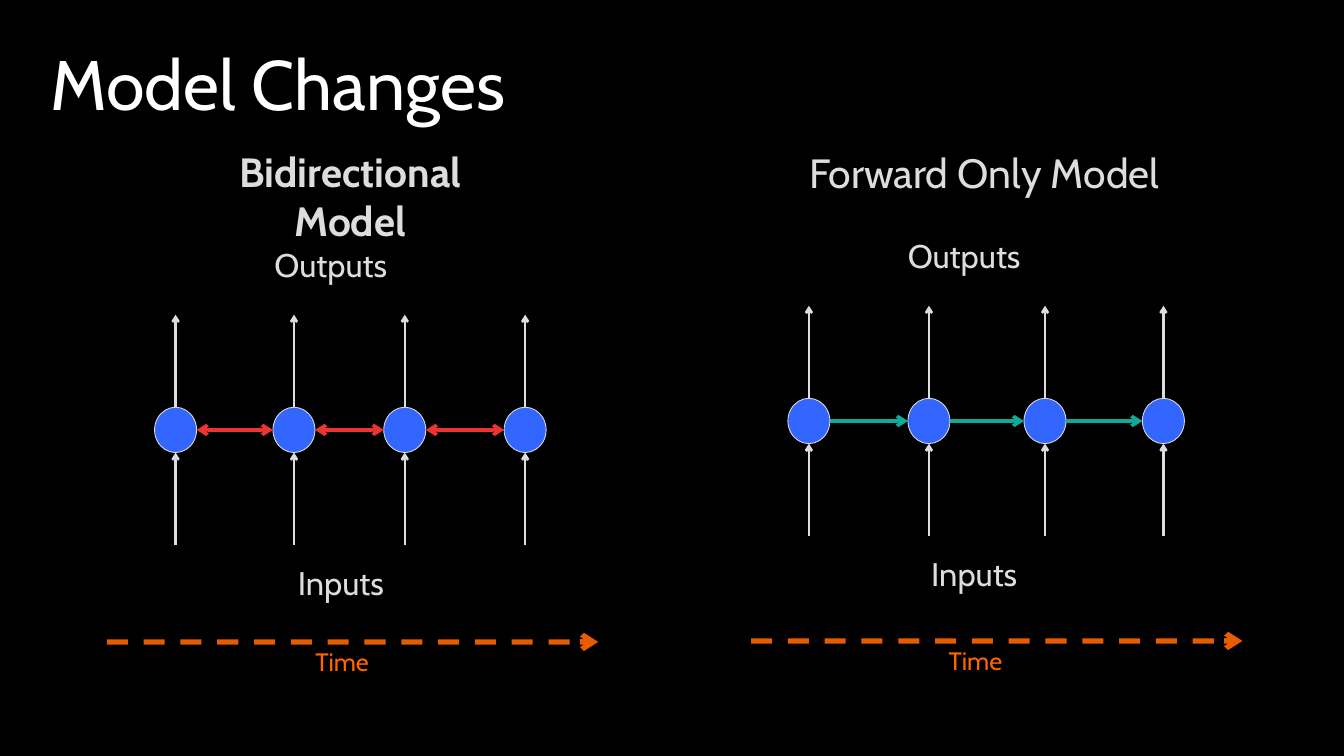
from dataclasses import dataclass
from itertools import pairwise

from lxml.etree import SubElement
from pptx import Presentation
from pptx.dml.color import RGBColor
from pptx.enum.dml import MSO_LINE
from pptx.enum.shapes import MSO_CONNECTOR, MSO_SHAPE
from pptx.enum.text import MSO_ANCHOR, PP_ALIGN as Align
from pptx.oxml.ns import qn
from pptx.slide import Slide
from pptx.util import Cm, Pt

BLACK = RGBColor(0x00, 0x00, 0x00)
WHITE = RGBColor(0xFF, 0xFF, 0xFF)
GREY = RGBColor(0xDD, 0xDD, 0xDD)
BLUE = RGBColor(0x33, 0x66, 0xFF)
RED = RGBColor(0xEE, 0x33, 0x33)
TEAL = RGBColor(0x11, 0xAA, 0x99)
ORANGE = RGBColor(0xFF, 0x66, 0x00)
FONT = "Cabin"

# Sizes in centimetres
NODE_W, NODE_H = 1.27, 1.37
FLOW_LENGTH = 2.8
TIME_LENGTH = 14.86


@dataclass(frozen=True)
class Box:
    left: float
    top: float
    width: float
    height: float


@dataclass(frozen=True)
class TextStyle:
    size: float
    color: RGBColor = GREY
    bold: bool = False
    align: Align = Align.CENTER
    inset_y: float = 0.13
    spacing: float = 1.0


@dataclass(frozen=True)
class ArrowStyle:
    color: RGBColor
    width: float
    both_ends: bool = False
    dashed: bool = False
    opacity: int = 100


@dataclass(frozen=True)
class Model:
    heading: str
    heading_box: Box
    heading_style: TextStyle
    node_centers: tuple[float, ...]
    node_y: float
    label_left: float
    time_left: float
    time_y: float
    link: ArrowStyle


TITLE = TextStyle(60, WHITE, align=Align.LEFT, inset_y=0.25, spacing=0.9)
LABEL = TextStyle(28)
TIME_LABEL = TextStyle(21.6, ORANGE)
FLOW = ArrowStyle(GREY, 2)
TIME = ArrowStyle(ORANGE, 4.5, dashed=True, opacity=89)

MODELS = (
    Model("Bidirectional Model", Box(5.31, 4.32, 10.57, 3.2),
          TextStyle(35, bold=True), (5.31, 8.89, 12.24, 15.88), 13.0,
          7.77, 3.23, 19.41, ArrowStyle(RED, 3, both_ends=True)),
    Model("Forward Only Model", Box(23.77, 4.34, 11.99, 3.2),
          TextStyle(35), (24.46, 28.09, 31.6, 35.18), 12.73,
          26.92, 22.71, 19.38, ArrowStyle(TEAL, 3)),
)


def add_text(slide: Slide, text: str, box: Box, style: TextStyle) -> None:
    frame = slide.shapes.add_textbox(
        Cm(box.left), Cm(box.top), Cm(box.width), Cm(box.height)).text_frame
    frame.word_wrap = True
    frame.vertical_anchor = MSO_ANCHOR.TOP
    frame.margin_left = frame.margin_right = Cm(0.25)
    frame.margin_top = frame.margin_bottom = Cm(style.inset_y)
    paragraph = frame.paragraphs[0]
    paragraph.alignment = style.align
    paragraph.line_spacing = style.spacing
    run = paragraph.add_run()
    run.text = text
    run.font.name = FONT
    run.font.size = Pt(style.size)
    run.font.bold = style.bold
    run.font.color.rgb = style.color


def add_arrow(slide: Slide, x1: float, y1: float, x2: float, y2: float,
              style: ArrowStyle) -> None:
    arrow = slide.shapes.add_connector(
        MSO_CONNECTOR.STRAIGHT, Cm(x1), Cm(y1), Cm(x2), Cm(y2))
    arrow.line.color.rgb = style.color
    arrow.line.width = Pt(style.width)
    if style.dashed:
        arrow.line.dash_style = MSO_LINE.DASH
    ln = arrow.get_or_add_ln()
    if style.opacity < 100:
        color = ln.find(qn("a:solidFill")).find(qn("a:srgbClr"))
        SubElement(color, qn("a:alpha"), val=str(style.opacity * 1000))
    if style.both_ends:
        SubElement(ln, qn("a:headEnd"), type="arrow")
    SubElement(ln, qn("a:tailEnd"), type="arrow")
    SubElement(ln.getparent(), qn("a:effectLst"))


def add_node(slide: Slide, center_x: float, center_y: float) -> None:
    node = slide.shapes.add_shape(
        MSO_SHAPE.OVAL, Cm(center_x - NODE_W / 2), Cm(center_y - NODE_H / 2),
        Cm(NODE_W), Cm(NODE_H))
    node.shadow.inherit = False
    node.fill.solid()
    node.fill.fore_color.rgb = BLUE
    node.line.color.rgb = GREY
    node.line.width = Pt(0.75)


def add_model(slide: Slide, model: Model) -> None:
    y = model.node_y
    node_top, node_bottom = y - NODE_H / 2, y + NODE_H / 2

    # Nodes with their output and input arrows
    for x in model.node_centers:
        add_node(slide, x, y)
        add_arrow(slide, x, node_top, x, node_top - FLOW_LENGTH, FLOW)
        add_arrow(slide, x, node_bottom + FLOW_LENGTH, x, node_bottom, FLOW)

    # Links between neighbouring nodes
    for x, next_x in pairwise(model.node_centers):
        add_arrow(slide, x + NODE_W / 2, y, next_x - NODE_W / 2, y, model.link)

    # Time axis
    add_arrow(slide, model.time_left, model.time_y,
              model.time_left + TIME_LENGTH, model.time_y, TIME)

    # Heading and labels
    left = model.label_left
    add_text(slide, model.heading, model.heading_box, model.heading_style)
    add_text(slide, "Outputs", Box(left, y - 5.74, 4.47, 1.45), LABEL)
    add_text(slide, "Inputs", Box(left + 0.62, y + 3.89, 3.84, 1.45), LABEL)
    add_text(slide, "Time", Box(left + 0.49, model.time_y, 4.17, 1.17),
             TIME_LABEL)


def main() -> None:
    deck = Presentation()
    deck.slide_width, deck.slide_height = Cm(40.64), Cm(22.86)
    slide = deck.slides.add_slide(deck.slide_layouts[6])
    slide.background.fill.solid()
    slide.background.fill.fore_color.rgb = BLACK

    add_text(slide, "Model Changes", Box(1.27, 1.27, 38.1, 3.05), TITLE)
    for model in MODELS:
        add_model(slide, model)
    deck.save("out.pptx")


if __name__ == "__main__":
    main()
